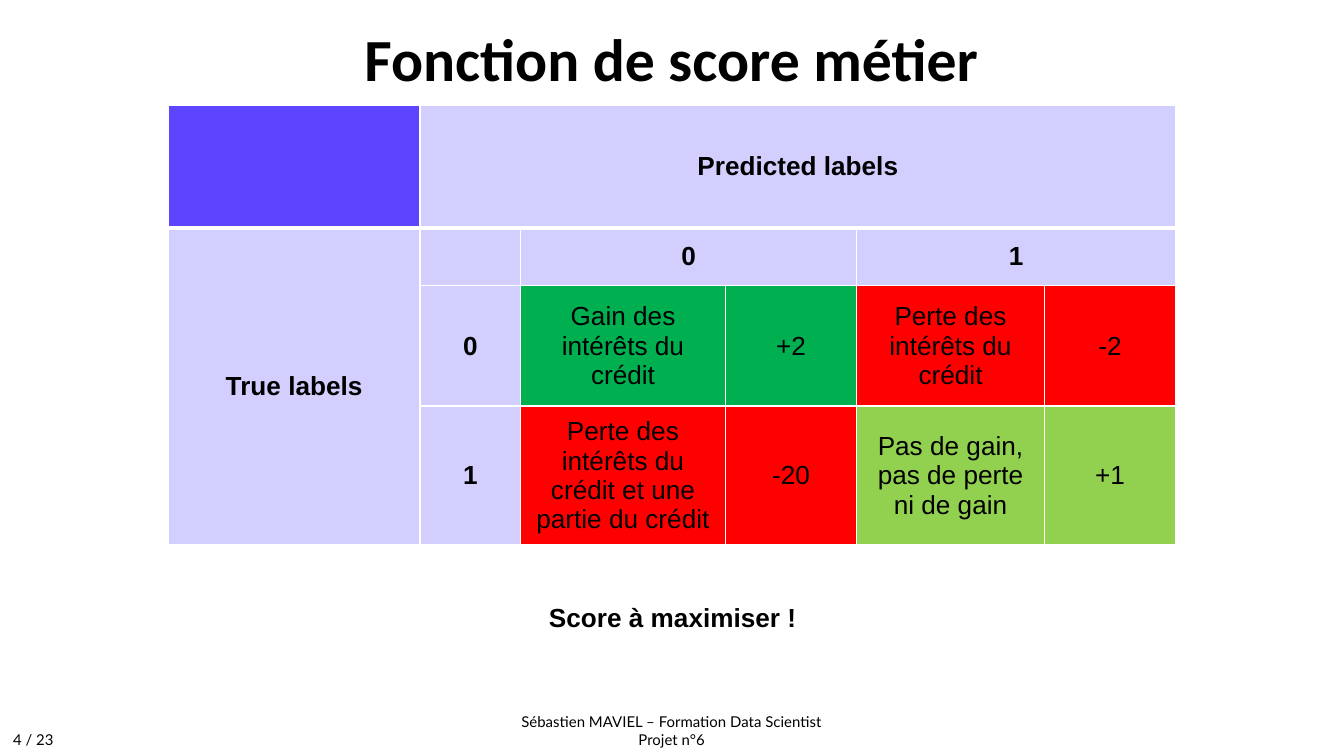
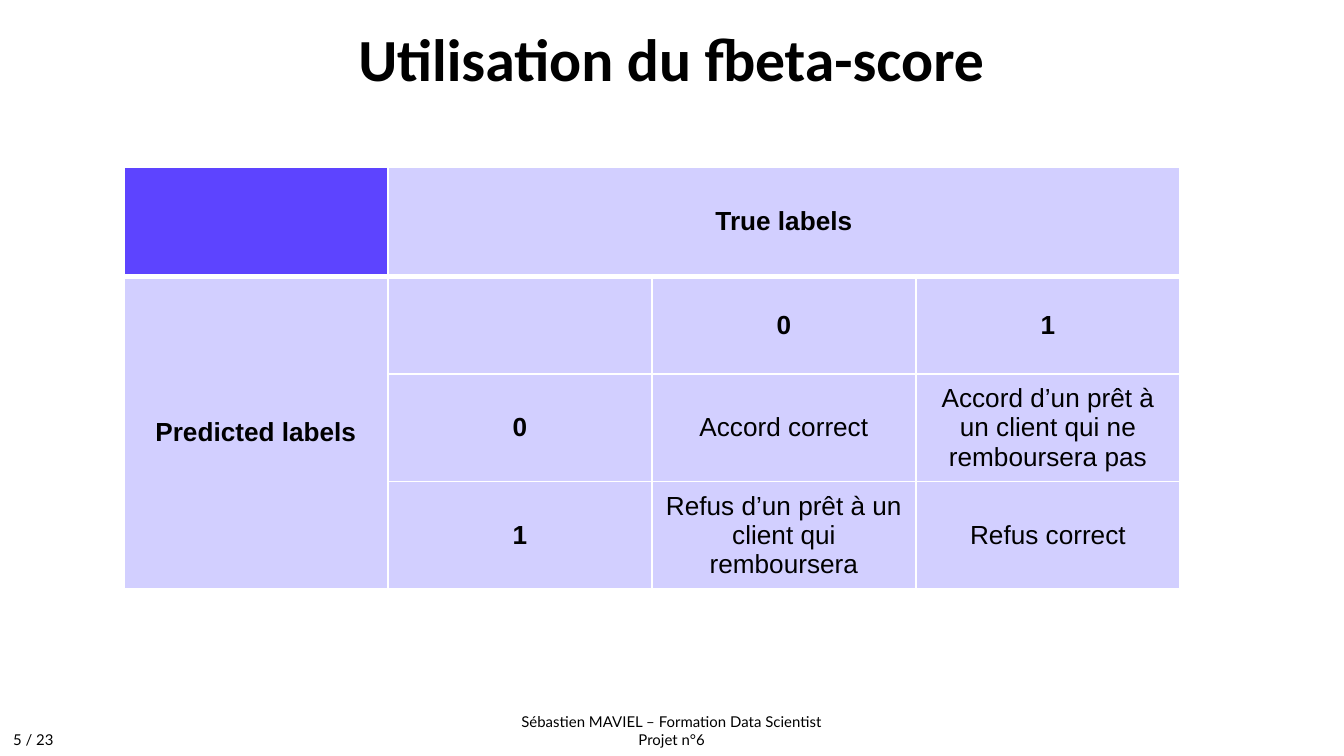
from lxml import etree
from pptx import Presentation
from pptx.dml.color import RGBColor
from pptx.enum import text
from pptx.oxml import ns
from pptx.util import Cm, Pt

# Shared look
BLACK, WHITE = "000000", "FFFFFF"
INDIGO, LAVENDER = "5D44FF", "D2CFFF"
GREEN, LIME, RED = "00B050", "92D050", "FF0000"
CENTER, LEFT = text.PP_ALIGN.CENTER, text.PP_ALIGN.LEFT
TITLE_FONT = {"name": "Calibri", "size": Pt(32), "bold": True}
FOOTER_FONT = {"name": "Lato", "size": Pt(8), "bold": False}
BODY_FONT = {"name": "Arial", "size": Pt(14), "bold": False}
LABEL_FONT = {**BODY_FONT, "bold": True}

# Boxes in centimetres: left, top, width, height
PAGE_WIDTH, PAGE_HEIGHT = 25.4, 14.29
TITLE_BOX = (2.01, 0.41, 21.36, 1.6)
FOOTER_BOX = (8.15, 13.34, 9.09, 0.94)
NUMBER_BOX = (0, 13.68, 1.7, 0.61)
NOTE_BOX = (9.4, 11.25, 6.63, 0.86)
PAGE_COUNT = 23


def color(hex_value):
    return RGBColor.from_string(hex_value)


def apply(target, values):
    for name, value in values.items():
        setattr(target, name, value)


def write(frame, lines, font, alignment=CENTER, **paragraph_format):
    """Fill a text frame, one paragraph per line."""
    for index, line in enumerate(lines):
        paragraph = frame.add_paragraph() if index else frame.paragraphs[0]
        apply(paragraph, {"alignment": alignment, **paragraph_format})
        run = paragraph.add_run()
        run.text = line
        apply(run.font, font)
        run.font.color.rgb = color(BLACK)


def add_text(slide, box, lines, font, alignment=CENTER):
    shape = slide.shapes.add_textbox(*map(Cm, box))
    shape.text_frame.word_wrap = True
    write(shape.text_frame, lines, font, alignment)


def add_page(presentation, title, number):
    """Slide with the common title, footer and page number."""
    slide = presentation.slides.add_slide(presentation.slide_layouts[5])
    shape = slide.shapes.title
    apply(shape, dict(zip(("left", "top", "width", "height"), map(Cm, TITLE_BOX))))
    frame = shape.text_frame
    margins = ("margin_left", "margin_top", "margin_right", "margin_bottom")
    apply(frame, {margin: Cm(0.25) for margin in margins})
    apply(frame, {"vertical_anchor": text.MSO_ANCHOR.MIDDLE,
                  "auto_size": text.MSO_AUTO_SIZE.NONE})
    write(frame, [title], TITLE_FONT, line_spacing=0.8)

    footer = ["Sébastien MAVIEL – Formation Data Scientist", "Projet n°6"]
    add_text(slide, FOOTER_BOX, footer, FOOTER_FONT)
    add_text(slide, NUMBER_BOX, [f"{number} / {PAGE_COUNT}"], FOOTER_FONT, LEFT)
    return slide


def add_borders(cell, row):
    """White borders, thicker between the header row and the rest."""
    properties = cell._tc.get_or_add_tcPr()
    for edge in "LRTB":
        width = Pt(3) if (row, edge) in ((0, "B"), (1, "T")) else Pt(1)
        line = etree.SubElement(properties, ns.qn(f"a:ln{edge}"), w=str(width))
        fill = etree.SubElement(line, ns.qn("a:solidFill"))
        etree.SubElement(fill, ns.qn("a:srgbClr"), val=WHITE)


def add_matrix(slide, position, widths, heights, rows, merges=(), fills=None):
    """Confusion matrix: labels in the first two rows and columns."""
    fills = {(0, 0): INDIGO, **(fills or {})}
    box = (*position, sum(widths), sum(heights))
    table = slide.shapes.add_table(len(rows), len(widths), *map(Cm, box)).table
    table.horz_banding = False
    for column, width in zip(table.columns, widths):
        column.width = Cm(width)
    for row, height in zip(table.rows, heights):
        row.height = Cm(height)

    for r, values in enumerate(rows):
        for c, value in enumerate(values):
            cell = table.cell(r, c)
            add_borders(cell, r)
            cell.fill.solid()
            cell.fill.fore_color.rgb = color(fills.get((r, c), LAVENDER))
            cell.vertical_anchor = text.MSO_ANCHOR.MIDDLE
            if value:
                font = LABEL_FONT if min(r, c) < 2 else BODY_FONT
                write(cell.text_frame, [value], font)

    # Top label spans all value columns, side label all value rows
    spans = [(0, 1, 0, len(widths) - 1), (1, 0, len(rows) - 1, 0), *merges]
    for top, left, bottom, right in spans:
        table.cell(top, left).merge(table.cell(bottom, right))


def add_business_score(presentation):
    slide = add_page(presentation, "Fonction de score métier", 4)
    rows = [
        ["", "Predicted labels", "", "", "", ""],
        ["True labels", "", "0", "", "1", ""],
        ["", "0", "Gain des intérêts du crédit", "+2",
         "Perte des intérêts du crédit", "-2"],
        ["", "1", "Perte des intérêts du crédit et une partie du crédit", "-20",
         "Pas de gain, pas de perte ni de gain", "+1"],
    ]
    outcomes = {(2, 2): GREEN, (2, 4): RED, (3, 2): RED, (3, 4): LIME}
    fills = {(r, c + step): fill for (r, c), fill in outcomes.items() for step in (0, 1)}
    add_matrix(slide, (3.18, 1.98), [4.76, 1.9, 3.87, 2.48, 3.55, 2.48],
               [2.33, 1.09, 2.28, 2.28], rows,
               merges=[(1, 2, 1, 3), (1, 4, 1, 5)], fills=fills)
    add_text(slide, NOTE_BOX, ["Score à maximiser !"], LABEL_FONT)


def add_fbeta_score(presentation):
    slide = add_page(presentation, "Utilisation du fbeta-score", 5)
    rows = [
        ["", "True labels", "", ""],
        ["Predicted labels", "", "0", "1"],
        ["", "0", "Accord correct",
         "Accord d’un prêt à un client qui ne remboursera pas"],
        ["", "1", "Refus d’un prêt à un client qui remboursera", "Refus correct"],
    ]
    add_matrix(slide, (2.34, 3.16), [4.99] * 4, [2.06] + [1.85] * 3, rows)


def main():
    presentation = Presentation()
    apply(presentation, {"slide_width": Cm(PAGE_WIDTH), "slide_height": Cm(PAGE_HEIGHT)})
    add_business_score(presentation)
    add_fbeta_score(presentation)
    presentation.save("out.pptx")


if __name__ == "__main__":
    main()
